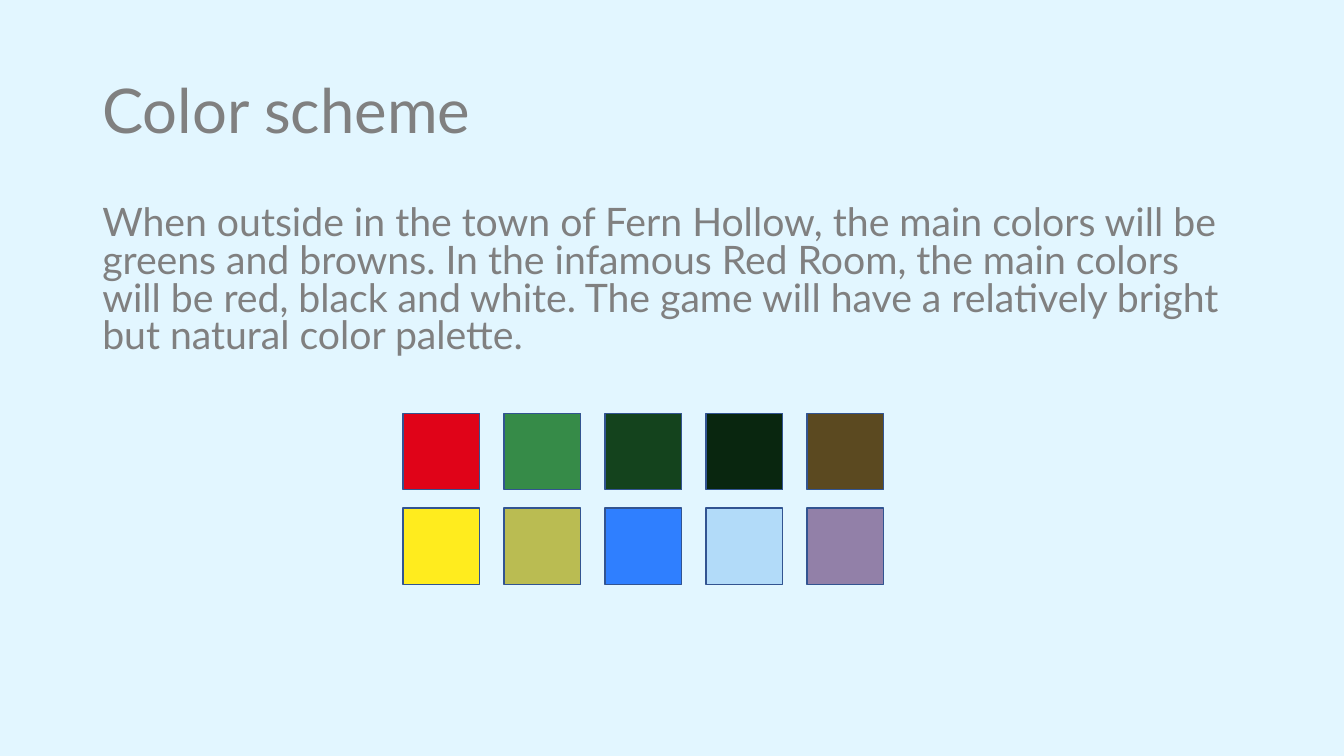
from pptx import Presentation
from pptx.dml.color import RGBColor
from pptx.enum.shapes import MSO_SHAPE as Shape
from pptx.enum.text import MSO_ANCHOR as Anchor
from pptx.util import Pt

BACKGROUND = RGBColor(0xE2, 0xF6, 0xFF)
GREY = RGBColor(0x80, 0x80, 0x80)
OUTLINE = RGBColor(0x32, 0x54, 0x91)
RED = RGBColor(0xE0, 0x03, 0x18)
GREEN = RGBColor(0x36, 0x8B, 0x48)
FOREST = RGBColor(0x14, 0x43, 0x1D)
DARK_FOREST = RGBColor(0x09, 0x26, 0x0F)
BROWN = RGBColor(0x5B, 0x49, 0x20)
YELLOW = RGBColor(0xFF, 0xEC, 0x1E)
OLIVE = RGBColor(0xBA, 0xBC, 0x52)
BLUE = RGBColor(0x2F, 0x7F, 0xFF)
PALE_BLUE = RGBColor(0xB2, 0xDB, 0xF9)
PURPLE = RGBColor(0x92, 0x80, 0xA8)

PALETTE = [
    [RED, GREEN, FOREST, DARK_FOREST, BROWN],
    [YELLOW, OLIVE, BLUE, PALE_BLUE, PURPLE],
]
PALETTE_LEFT, PALETTE_TOP = 288, 295.2
COLUMN_STEP, ROW_STEP = 72.1, 67.8
SWATCH_SIZE = 54.7


class SchemeSlide:
    font_name = "Lato"

    def __init__(self, slide):
        self.slide = slide
        slide.background.fill.solid()
        slide.background.fill.fore_color.rgb = BACKGROUND

    def text(self, content, top, height, size, line_spacing,
             space_before=0, anchor=Anchor.TOP):
        box = self.slide.shapes.add_textbox(Pt(66), Pt(top), Pt(828), Pt(height))
        frame = box.text_frame
        frame.word_wrap = True
        frame.vertical_anchor = anchor
        paragraph = frame.paragraphs[0]
        paragraph.text = content
        paragraph.line_spacing = line_spacing
        paragraph.space_before = Pt(space_before)
        paragraph.font.name = self.font_name
        paragraph.font.size = Pt(size)
        paragraph.font.color.rgb = GREY

    def swatch(self, left, top, color):
        square = self.slide.shapes.add_shape(
            Shape.RECTANGLE, Pt(left), Pt(top), Pt(SWATCH_SIZE), Pt(SWATCH_SIZE))
        square.shadow.inherit = False
        square.fill.solid()
        square.fill.fore_color.rgb = color
        square.line.color.rgb = OUTLINE
        square.line.width = Pt(1)


def main():
    deck = Presentation()
    deck.slide_width, deck.slide_height = Pt(960), Pt(540)
    scheme = SchemeSlide(deck.slides.add_slide(deck.slide_layouts[6]))

    scheme.text("Color scheme", top=28.8, height=104.4, size=44,
                line_spacing=0.9, anchor=Anchor.MIDDLE)
    scheme.text(
        "When outside in the town of Fern Hollow, the main colors will be "
        "greens and browns. In the infamous Red Room, the main colors will be "
        "red, black and white. The game will have a relatively bright but "
        "natural color palette.",
        top=144, height=126, size=28, line_spacing=0.8, space_before=10)

    for row, colors in enumerate(PALETTE):
        for column, color in enumerate(colors):
            scheme.swatch(PALETTE_LEFT + column * COLUMN_STEP,
                          PALETTE_TOP + row * ROW_STEP, color)

    deck.save("out.pptx")


if __name__ == "__main__":
    main()
